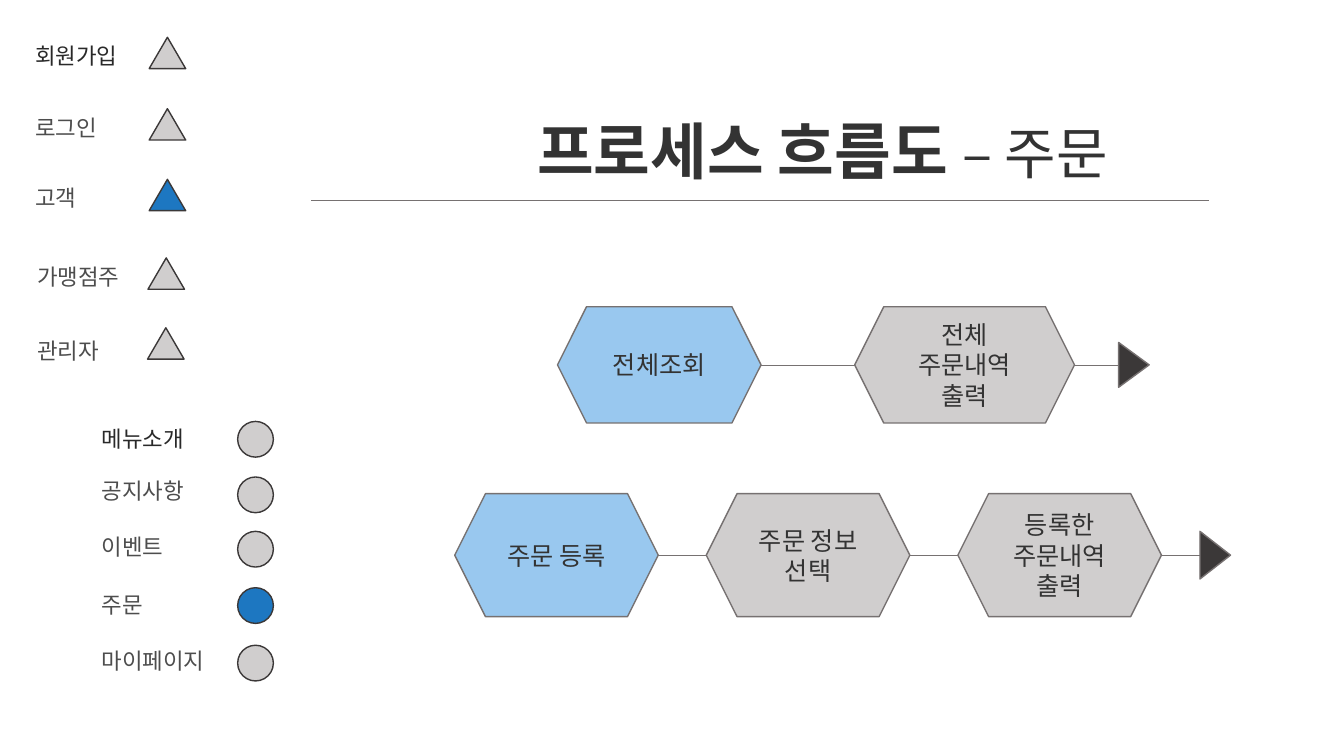
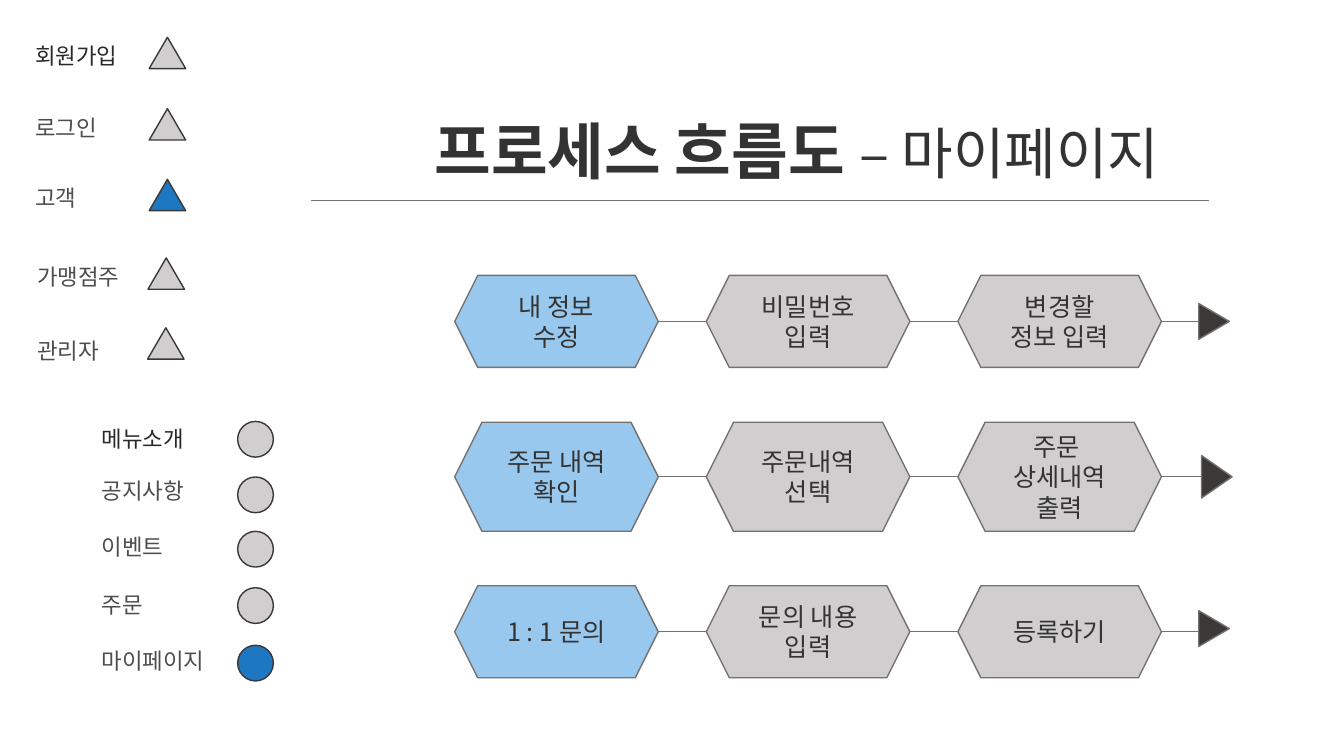
from lxml import etree
from pptx import Presentation
from pptx import util as u
from pptx.dml.color import RGBColor
from pptx.enum import shapes, text
from pptx.oxml import ns

FONT = "Noto Sans CJK KR"
GREY = RGBColor(0xD0, 0xCE, 0xCE)
BLUE = RGBColor(0x1D, 0x77, 0xC1)
SKY = RGBColor(0x99, 0xC8, 0xEF)
DARK = RGBColor(0x3B, 0x38, 0x38)
RULE = RGBColor(0x76, 0x71, 0x71)
INK = RGBColor(0x33, 0x33, 0x33)
HEAD = RGBColor(0x29, 0x29, 0x29)
SOFT = RGBColor(0x4D, 0x4D, 0x4D)
KIND = shapes.MSO_SHAPE
ALIGN = text.PP_ALIGN

USERS = [("회원가입", 0.94, 0.94, 0.64, 3.76), ("로그인", 2.74, 2.74, 0.64, 3.76),
         ("고객", 4.52, 4.52, 0.64, 3.76), ("가맹점주", 6.5, 6.5, 0.69, 3.73),
         ("관리자", 8.36, 8.26, 0.69, 3.72)]
PAGES = [("메뉴소개", 10.59, 10.62, 2.31, 5.99), ("공지사항", 11.89, 12.02, 2.31, 5.99),
         ("이벤트", 13.31, 13.39, 2.31, 5.99), ("주문", 14.76, 14.81, 2.31, 5.99),
         ("마이페이지", 16.18, 16.26, 2.31, 5.99)]


def cm(*vals):
    """Turn numbers into lengths."""
    return [u.Cm(v) for v in vals]


def write(par, words, size, color, bold=False):
    """Add one styled run to a paragraph."""
    run = par.add_run()
    run.text = words
    form = {"size": u.Pt(size), "name": FONT, "bold": bold}
    for key, val in form.items():
        setattr(run.font, key, val)
    run.font.color.rgb = color
    east = etree.SubElement(run.font._element, ns.qn("a:ea"))
    east.set("typeface", FONT)


def label(sld, box, runs, align=ALIGN.LEFT):
    """Place a one-line text box made of styled runs."""
    frame = sld.shapes.add_textbox(*cm(*box)).text_frame
    form = {"word_wrap": True, "auto_size": text.MSO_AUTO_SIZE.SHAPE_TO_FIT_TEXT}
    for key, val in form.items():
        setattr(frame, key, val)
    par = frame.paragraphs[0]
    par.alignment = align
    for run in runs:
        write(par, *run)


def block(sld, kind, box, fill, edge):
    """Place a filled, outlined shape without shadow."""
    shp = sld.shapes.add_shape(kind, *cm(*box))
    shp.shadow.inherit = False
    shp.fill.solid()
    shp.fill.fore_color.rgb = fill
    shp.line.color.rgb = edge
    shp.line.width = u.Pt(1)
    return shp


def rule(sld, left, right, top):
    """Draw a thin level line."""
    line = sld.shapes.add_connector(
        shapes.MSO_CONNECTOR.STRAIGHT, *cm(left, top, right, top))
    line.line.color.rgb = RULE
    line.line.width = u.Pt(0.5)
    etree.SubElement(line._element.spPr, ns.qn("a:effectLst"))


def menu(sld, items, kind, size, active):
    """List labels with marks and light the active one."""
    for num, (name, top, mark, left, side) in enumerate(items):
        fill = BLUE if name == active else GREY
        block(sld, kind, (side, mark, *size), fill, DARK)
        color = SOFT if num else HEAD
        label(sld, (left, top, 3.6, 0.94), [(name, 16, color)])


def title(sld, box, name):
    """Place the heading and the line below it."""
    label(sld, box, [("프로세스 흐름도 ", 44, INK, True), ("– " + name, 40, INK)],
          ALIGN.CENTER)
    rule(sld, 7.85, 30.48, 5.06)


def step(sld, box, words, fill):
    """Place one hexagon with centred lines."""
    frame = block(sld, KIND.HEXAGON, box, fill, RULE).text_frame
    form = {"word_wrap": True, "vertical_anchor": text.MSO_ANCHOR.MIDDLE}
    for key, val in form.items():
        setattr(frame, key, val)
    for num, line in enumerate(words.split("\n")):
        par = frame.add_paragraph() if num else frame.paragraphs[0]
        par.alignment = ALIGN.CENTER
        write(par, line, 18, INK)


def flow(sld, left, top, high, steps, lead, tip, gap=1.21, last=5.13, lift=0):
    """Chain hexagons from left to right and end with an arrowhead."""
    mid = top + high / 2
    for num, words in enumerate(steps):
        end = num == len(steps) - 1
        wide = last if end else 5.13
        step(sld, (left, top, wide, high), words, GREY if num else SKY)
        left += wide
        space = lead if end else gap
        rule(sld, left, left + space, mid)
        left += space
    deep = 0.77
    box = (left + (deep - tip) / 2, mid - deep / 2 - lift, tip, deep)
    block(sld, KIND.ISOSCELES_TRIANGLE, box, DARK, RULE).rotation = 90


def page(deck, name, box, flows):
    """Build one slide from its menus, title and flows."""
    sld = deck.slides.add_slide(deck.slide_layouts[6])
    menu(sld, USERS, KIND.ISOSCELES_TRIANGLE, (0.92, 0.79), "고객")
    menu(sld, PAGES, KIND.OVAL, (0.9, 0.9), name)
    title(sld, box, name)
    for row in flows:
        flow(sld, **row)


ORDER = [
    dict(left=14.05, top=7.73, high=2.93, lead=1.11, tip=1.13, gap=2.36, last=5.54,
         steps=["전체조회", "전체\n주문내역\n출력"]),
    dict(left=11.46, top=12.44, high=3.1, lead=0.97, tip=1.2,
         steps=["주문 등록", "주문 정보 선택", "등록한\n주문내역\n출력"]),
]
MINE = [
    dict(left=11.46, top=6.94, high=2.32, lead=0.94, tip=0.9,
         steps=["내 정보\n수정", "비밀번호\n입력", "변경할\n정보 입력"]),
    dict(left=11.46, top=10.64, high=2.75, lead=1.01, tip=1.07,
         steps=["주문 내역\n확인", "주문내역\n선택", "주문 \n상세내역\n출력"]),
    dict(left=11.46, top=14.76, high=2.32, lead=0.94, tip=0.9, lift=0.08,
         steps=["1 : 1 문의", "문의 내용\n입력", "등록하기"]),
]

deck = Presentation()
deck.slide_width, deck.slide_height = cm(33.87, 19.05)
page(deck, "주문", (11, 2.72, 19.46, 2.14), ORDER)
page(deck, "마이페이지", (9.68, 2.72, 20.8, 2.14), MINE)
deck.save("out.pptx")
